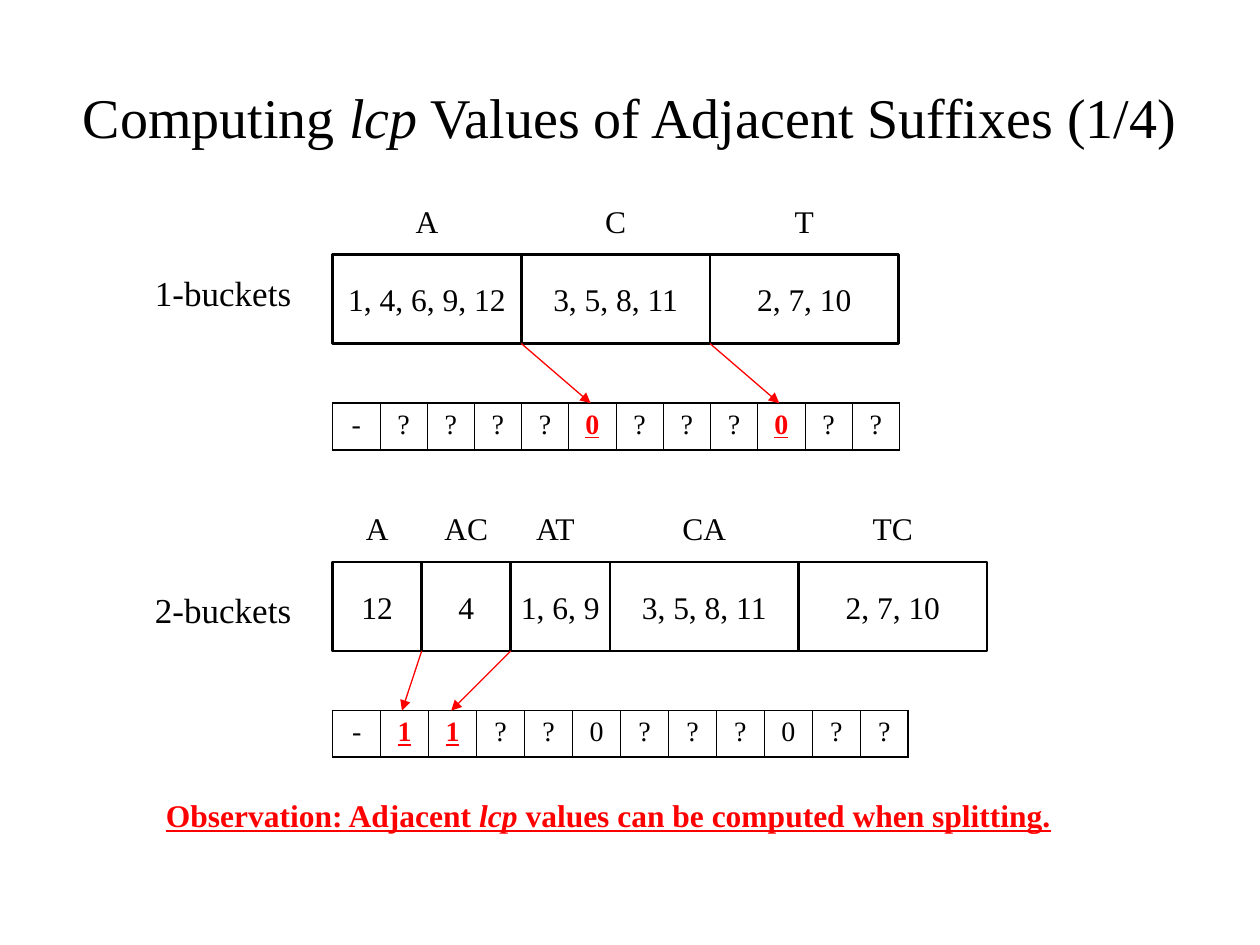
from lxml.etree import SubElement
from pptx import Presentation
from pptx.dml.color import RGBColor
from pptx.enum.shapes import MSO_CONNECTOR, MSO_SHAPE
from pptx.enum.text import MSO_ANCHOR, PP_ALIGN
from pptx.oxml.ns import qn
from pptx.util import Pt

BLACK, WHITE, RED = "000000", "FFFFFF", "FF0000"
LEFT, SIDE, WIDE = 190.1, 50.9, 107.8


def paint(code):
    return RGBColor.from_string(code)


class Board:
    font = "Times New Roman"

    def __init__(self, slide):
        self.slide = slide

    def letter(self, frame, text, size, color=BLACK, strong=False, align=PP_ALIGN.CENTER):
        para = frame.paragraphs[0]
        para.alignment = align
        for order, part in enumerate(text.split("*")):
            run = para.add_run()
            run.text = part
            font = run.font
            font.name, font.size = self.font, Pt(size)
            font.color.rgb = paint(color)
            font.bold = font.underline = strong
            font.italic = order % 2 == 1

    def label(self, text, x, y, w, h, size, **look):
        box = self.slide.shapes.add_textbox(Pt(x), Pt(y), Pt(w), Pt(h))
        frame = box.text_frame
        frame.word_wrap = True
        frame.vertical_anchor = MSO_ANCHOR.MIDDLE
        self.letter(frame, text, size, **look)

    def bucket(self, text, x, y, w):
        box = self.slide.shapes.add_shape(
            MSO_SHAPE.RECTANGLE, Pt(x), Pt(y), Pt(w), Pt(SIDE))
        box.shadow.inherit = False
        box.fill.solid()
        box.fill.fore_color.rgb = paint(WHITE)
        box.line.color.rgb = paint(BLACK)
        box.line.width = Pt(1.5)
        frame = box.text_frame
        frame.word_wrap = False
        frame.vertical_anchor = MSO_ANCHOR.MIDDLE
        self.letter(frame, text, 18)

    def border(self, cell, first, last):
        props = cell._tc.get_or_add_tcPr()
        heavy = {"lnL": first, "lnR": last, "lnT": True, "lnB": True}
        for tag, bold in heavy.items():
            width = Pt(1.08 if bold else 0.45)
            line = SubElement(props, qn(f"a:{tag}"), w=str(width))
            fill = SubElement(line, qn("a:solidFill"))
            SubElement(fill, qn("a:srgbClr"), val=BLACK)

    def table(self, values, marks, x, y, w):
        count = len(values)
        grid = self.slide.shapes.add_table(1, count, Pt(x), Pt(y), Pt(w), Pt(26.6)).table
        grid.first_row = grid.horz_banding = False
        for col, value in enumerate(values):
            grid.columns[col].width = Pt(w / count)
            cell = grid.cell(0, col)
            self.border(cell, col == 0, col == count - 1)
            cell.fill.background()
            hit = col in marks
            self.letter(cell.text_frame, value, 16, RED if hit else BLACK, hit)

    def arrow(self, start, end):
        line = self.slide.shapes.add_connector(
            MSO_CONNECTOR.STRAIGHT, *map(Pt, start + end))
        line.line.color.rgb = paint(RED)
        line.line.width = Pt(0.75)
        props = line._element.spPr
        SubElement(props.find(qn("a:ln")), qn("a:tailEnd"), type="triangle")
        SubElement(props, qn("a:effectLst"))

    def level(self, top, buckets, values, marks, width, ends):
        x, edges = LEFT, []
        for name, text, wide in buckets:
            shift = (wide - SIDE) / 2 if wide == WIDE else 0
            self.bucket(text, x, top, wide)
            self.label(name, x + shift, top - 33.8, SIDE, 28.8, 18)
            x += wide
            edges.append(x)
        low = top + 85
        self.table(values, marks, LEFT, low, width)
        for edge, end in zip(edges, ends):
            self.arrow((edge, top + SIDE), (end, low))


def main():
    deck = Presentation()
    deck.slide_width, deck.slide_height = Pt(720), Pt(540)
    board = Board(deck.slides.add_slide(deck.slide_layouts[6]))
    board.label("Computing *lcp* Values of Adjacent Suffixes (1/4)",
                36, 21.6, 648, 90, 32)
    board.level(145.4,
                [("A", "1, 4, 6, 9, 12", WIDE), ("C", "3, 5, 8, 11", WIDE),
                 ("T", "2, 7, 10", WIDE)],
                "-????0???0??", (5, 9), 324, (337.5, 445.3))
    board.level(321.1,
                [("A", "12", SIDE), ("AC", "4", SIDE), ("AT", "1, 6, 9", 56.6),
                 ("CA", "3, 5, 8, 11", WIDE), ("TC", "2, 7, 10", WIDE)],
                "-11??0???0??", (1, 2), 329, (229.7, 257.8))
    for text, y in (("1-buckets", 151.2), ("2-buckets", 332.6)):
        board.label(text, 76.5, y, 102, 31.5, 20)
    board.label("Observation: Adjacent *lcp* values can be computed when splitting.",
                87.8, 451.4, 584, 28.8, 18,
                color=RED, strong=True, align=PP_ALIGN.LEFT)
    deck.save("out.pptx")


if __name__ == "__main__":
    main()
